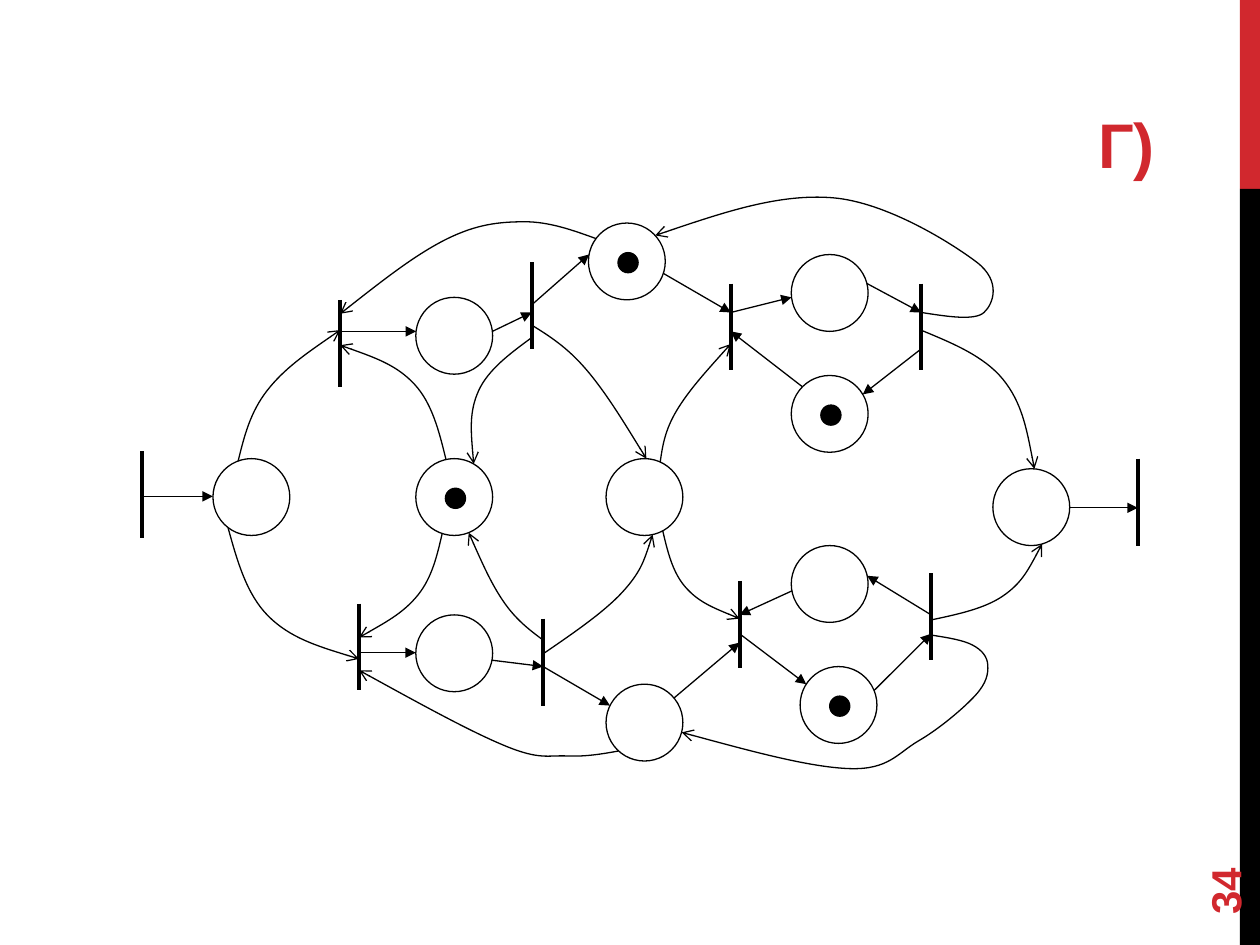
from math import sqrt

from lxml.etree import SubElement as Sub
from pptx import Presentation
from pptx.dml.color import RGBColor as RGB
from pptx.enum.shapes import MSO_CONNECTOR as Conn, MSO_SHAPE as Shape
from pptx.enum.text import MSO_ANCHOR as Anchor, PP_ALIGN as Align
from pptx.oxml.ns import qn
from pptx.util import Inches, Pt

HEX = {"red": "D1282E", "black": "000000", "white": "FFFFFF"}
PLACE, TOKEN, BAR = 0.61, 0.16, 0.69

PLACES = {
    "start": (1.69, 3.64), "hub": (4.81, 3.64), "work1": (3.3, 2.36), "top": (4.67, 1.77),
    "lock": (3.3, 3.64), "work2": (3.3, 4.88), "low": (4.81, 5.43), "use1": (6.28, 2.02),
    "free1": (6.28, 2.98), "use2": (6.28, 4.33), "free2": (6.35, 5.29), "done": (7.88, 3.72),
}
BARS = {
    "source": (1.13, 3.58), "get1": (2.7, 2.38), "get2": (2.85, 4.79), "put1": (4.22, 2.08),
    "put2": (4.31, 4.91), "run1": (5.8, 2.25), "run2": (5.87, 4.61), "end1": (7.31, 2.25),
    "end2": (7.39, 4.55), "sink": (9.03, 3.64),
}
MARKED = ["free1", "free2", "top", "lock"]
ARROWS = [
    ("source", 3.94, "start", 3.94), ("done", 4.03, "sink", 4.03),
    ("get1", 2.63, "work1", 2.63), ("get2", 5.18, "work2", 5.18),
    ("work2", 5.24, "put2", 5.29), ("work1", 2.63, "put1", 2.48),
    ("top", 2.17, "run1", 2.48), ("run1", 2.48, "use1", 2.36),
    ("use1", 2.25, "end1", 2.48), ("end1", 2.77, "free1", 3.13),
    ("free1", 3.07, "run1", 2.63), ("put1", 2.42, "top", 2.02),
    ("end2", 4.88, "use2", 4.57), ("free2", 5.48, "end2", 5.03),
    ("use2", 4.69, "run2", 4.88), ("run2", 5.03, "free2", 5.43),
    ("low", 5.54, "run2", 5.1), ("put2", 5.29, "low", 5.6),
]
CURVES = [
    ("put1", 2.68, "lock", 3.76, [(3.8, 3.1)]),
    ("put2", 5.19, "hub", 5.18, [(4.94, 4.7)]),
    ("start", 1.81, "get2", 5.23, [(2.13, 4.89)]),
    ("put2", 5.08, "lock", 3.72, [(4, 4.78)]),
    ("end2", 4.92, "done", 8.27, [(7.96, 4.73)]),
    ("top", 4.73, "get1", 2.49, [(4.16, 1.76), (3.54, 1.9)]),
    ("start", 1.89, "get1", 2.62, [(2.12, 3.1)]),
    ("hub", 5.26, "run2", 4.91, [(5.44, 4.66)]),
    ("lock", 3.54, "get1", 2.74, [(3.29, 3.05)]),
    ("hub", 5.24, "run1", 2.73, [(5.37, 3.26)]),
    ("lock", 3.51, "get2", 5.06, [(3.32, 4.72)]),
    ("put1", 2.58, "hub", 5.13, [(4.65, 2.93)]),
    ("low", 4.91, "get2", 5.32, [(4.5, 6), (4.01, 5.92)]),
    ("end1", 2.62, "done", 8.21, [(7.96, 3.01)]),
    ("end1", 2.48, "top", 5.2, [(7.81, 2.48), (7.75, 2.08), (6.61, 1.57)]),
    ("end2", 5.04, "low", 5.41,
     [(7.72, 5.12), (7.84, 5.28), (7.74, 5.52), (7.29, 5.88), (6.74, 6.1)]),
]


def tint(name):
    """Return the named colour."""
    return RGB.from_string(HEX[name])


def ink(item, width, tip=None):
    """Draw a black outline, with an arrowhead at its end if asked."""
    item.line.color.rgb = tint("black")
    item.line.width = Pt(width)
    if tip:
        Sub(item.line._get_or_add_ln(), qn("a:tailEnd"), type=tip)


def add_solid(shapes, kind, box, fill, edge=None):
    """Add a filled preset shape, outlined when an edge width is given."""
    item = shapes.add_shape(kind, *map(Inches, box))
    item.shadow.inherit = False
    item.fill.solid()
    item.fill.fore_color.rgb = tint(fill)
    if edge:
        ink(item, edge)
    else:
        item.line.fill.background()


def add_line(shapes, ends, width, tip=None):
    """Add a straight line."""
    item = shapes.add_connector(Conn.STRAIGHT, *map(Inches, ends))
    ink(item, width, tip)
    Sub(item.element.spPr, qn("a:effectLst"))


def rim(mid, at, ahead):
    """Find the other coordinate on a circle, on the side facing ahead."""
    reach = sqrt(max(0, (PLACE / 2) ** 2 - (at - mid[0]) ** 2))
    return mid[1] + (reach if ahead > mid[1] else -reach)


def side_spot(name, at, other):
    """Find where a straight arrow at height at meets a node."""
    if name in BARS:
        return BARS[name][0], at
    x, y = (v + PLACE / 2 for v in PLACES[name])
    return rim((y, x), at, BARS[other][0]), at


def end_spot(name, at, near):
    """Find where a curve meets a bar at a height or a circle at an x."""
    if name in BARS:
        return BARS[name][0], at
    return at, rim([v + PLACE / 2 for v in PLACES[name]], at, near[1])


def bend(knots):
    """Return Bezier points of a smooth curve through the knots."""
    last = len(knots) - 1
    slopes = [[(b - a) / 6 for a, b in zip(knots[i - 1], knots[i + 1])] for i in range(1, last)]
    points = [knots[0]]
    for i in range(last):
        a, b = knots[i:i + 2]
        lead = [v + s for v, s in zip(a, slopes[i - 1])] if i else None
        trail = [v - s for v, s in zip(b, slopes[i])] if i < last - 1 else None
        lead = lead or [(v + t) / 2 for v, t in zip(a, trail)]
        trail = trail or [(v + t) / 2 for v, t in zip(b, lead)]
        points += [lead, trail, b]
    return points


def add_curve(shapes, knots):
    """Add an open curve that ends in an arrowhead."""
    start, *rest = [(Inches(x), Inches(y)) for x, y in bend(knots)]
    pen = shapes.build_freeform(*start)
    pen.add_line_segments(rest, close=False)
    item = pen.convert_to_shape()
    item.shadow.inherit = False
    item.fill.background()
    ink(item, 0.75, "arrow")
    steps = list(item.element.iter(qn("a:lnTo")))
    for i in range(0, len(steps), 3):
        arc = Sub(steps[i].getparent(), qn("a:cubicBezTo"))
        for step in steps[i:i + 3]:
            arc.append(step[0])
            step.getparent().remove(step)


def add_text(shapes, text, box, size, anchor, align, turn=0, gap=0):
    """Add a bold red one-line label."""
    item = shapes.add_textbox(*map(Inches, box))
    item.rotation = turn
    frame = item.text_frame
    frame.word_wrap = True
    frame.vertical_anchor = anchor
    para = frame.paragraphs[0]
    para.alignment = align
    run = para.add_run()
    run.text = text
    for key, value in {"name": "Arial", "size": Pt(size), "bold": True}.items():
        setattr(run.font, key, value)
    run.font.color.rgb = tint("red")
    if gap:
        run._r.get_or_add_rPr().set("spc", str(gap))


def add_net(shapes):
    """Add the Petri net."""
    for x, y in PLACES.values():
        add_solid(shapes, Shape.OVAL, (x, y, PLACE, PLACE), "white", 0.75)
    for x, y in BARS.values():
        add_line(shapes, (x, y, x, y + BAR), 2.25)
    for a, at, b, to in ARROWS:
        add_line(shapes, (*side_spot(a, at, b), *side_spot(b, to, a)), 0.75, "triangle")
    for a, at, b, to, mids in CURVES:
        add_curve(shapes, [end_spot(a, at, mids[0]), *mids, end_spot(b, to, mids[-1])])
    for name in MARKED:
        x, y = (v + (PLACE - TOKEN) / 2 + 0.01 for v in PLACES[name])
        add_solid(shapes, Shape.OVAL, (x, y, TOKEN, TOKEN), "black", 0.75)


def main():
    """Build and save the slide."""
    deck = Presentation()
    deck.slide_width, deck.slide_height = Inches(10), Inches(7.5)
    shapes = deck.slides.add_slide(deck.slide_layouts[6]).shapes
    add_solid(shapes, Shape.RECTANGLE, (9.84, 0, 0.16, 1.5), "red")
    add_solid(shapes, Shape.RECTANGLE, (9.84, 1.5, 0.16, 6), "black")
    add_text(shapes, "Г)", (0.51, 0.66, 8.75, 0.83), 36, Anchor.BOTTOM, Align.RIGHT, gap=-60)
    add_net(shapes.add_group_shape().shapes)
    add_text(shapes, "34", (9, 6.44, 1.44, 0.4), 24, Anchor.MIDDLE, Align.LEFT, turn=270)
    deck.save("out.pptx")


if __name__ == "__main__":
    main()
